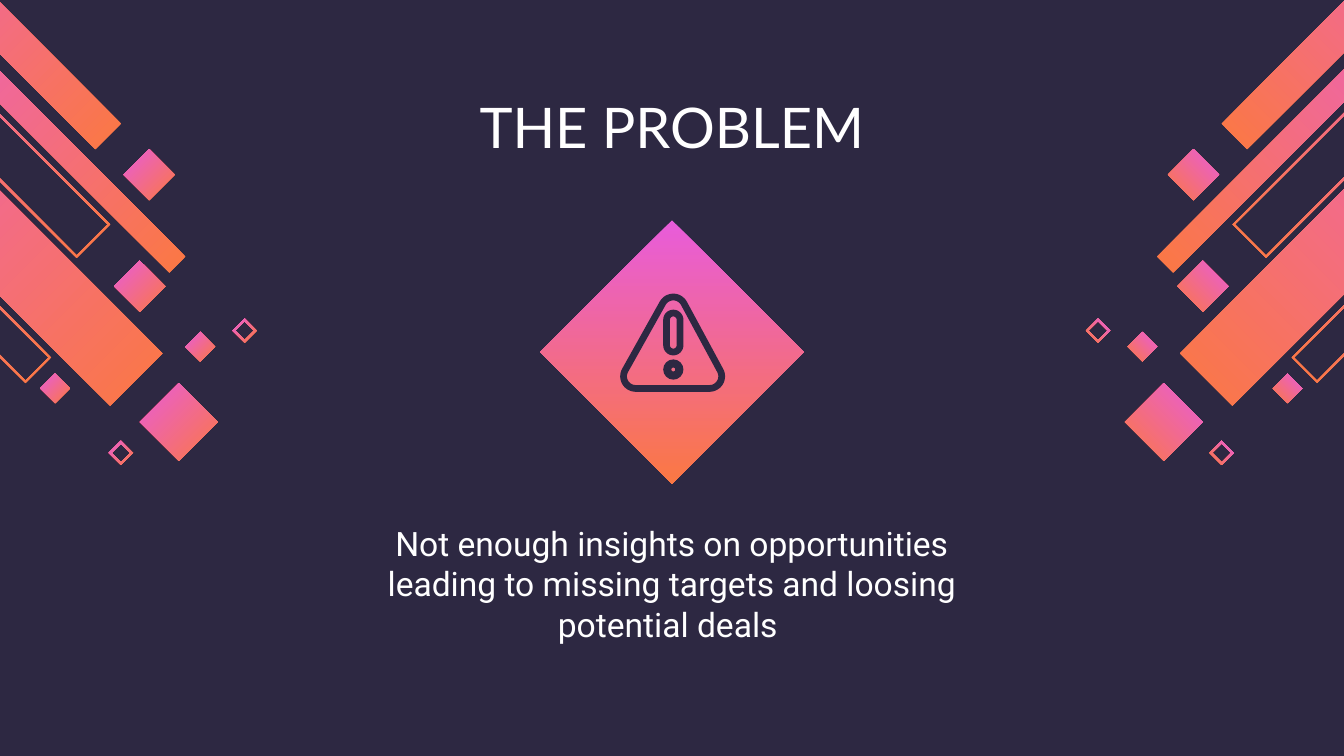
from dataclasses import dataclass
from math import atan2, cos, sin, tau

from pptx import Presentation
from pptx.dml.color import RGBColor
from pptx.enum.shapes import MSO_SHAPE
from pptx.enum.text import MSO_ANCHOR, PP_ALIGN
from pptx.shapes.autoshape import Shape
from pptx.slide import Slide
from pptx.util import Inches, Pt

DIAMOND = MSO_SHAPE.DIAMOND
CENTER = PP_ALIGN.CENTER
TOP, BOTTOM = MSO_ANCHOR.TOP, MSO_ANCHOR.BOTTOM

NIGHT = RGBColor(0x2D, 0x28, 0x42)
ORANGE = RGBColor(0xFB, 0x78, 0x43)
PINK = RGBColor(0xE8, 0x5C, 0xDB)
WHITE = RGBColor(0xFF, 0xFF, 0xFF)

PAGE_WIDTH = Inches(10)
PAGE_HEIGHT = PAGE_WIDTH * 9 // 16
MIRROR_SUM = 9.99  # left x + right x of mirrored points
OUTLINE = 0.02
ARC_STEPS = 16

Point = tuple[float, float]


@dataclass(frozen=True)
class Bar:
    """A bar at 45 degrees, rising to the right from its lowest corner."""
    x: float
    y: float
    length: float
    width: float
    hollow: bool = False

    def corners(self, inset: float = 0) -> list[Point]:
        x, y = self.x, self.y - inset
        length, width = self.length - inset, self.width - inset
        return [(x, y), (x + length, y - length),
                (x + length - width, y - length - width), (x - width, y - width)]

    def contours(self) -> list[list[Point]]:
        insets = (0, OUTLINE) if self.hollow else (0,)
        return [self.corners(inset) for inset in insets]


@dataclass(frozen=True)
class Ring:
    """A band between two rounded outlines around the same clockwise centres."""
    centres: list[Point]
    outer: float
    inner: float


def square(x: float, y: float, half: float, hollow: bool = False) -> Bar:
    return Bar(x, y, half, half, hollow)


RIGHT_BARS = [
    Bar(9.17, 3.02, 2.62, 0.39),
    Bar(9.42, 1.92, 1.95, 0.25, hollow=True),
    Bar(9.28, 1.11, 2.08, 0.19),
    Bar(8.73, 2.03, 2.34, 0.12),
    Bar(9.8, 2.85, 2.23, 0.19, hollow=True),
    square(9.58, 3, 0.11),
    square(8.88, 1.49, 0.19),
    square(9.09, 3.46, 0.09, hollow=True),
    square(8.17, 2.55, 0.09, hollow=True),
    square(8.66, 3.43, 0.29),
    square(8.95, 2.32, 0.19),
    square(8.5, 2.69, 0.11),
]

WARNING_SIGN = [
    Ring([(5.01, 2.3), (5.28, 2.8), (4.73, 2.8)], 0.11, 0.07),
    Ring([(5.01, 2.75)], 0.07, 0.02),
    Ring([(5.01, 2.38), (5.01, 2.57)], 0.07, 0.03),
]


def rounded_outline(centres: list[Point], radius: float) -> list[Point]:
    """Join arcs around the centres with straight tangents."""
    following = centres[1:] + centres[:1]
    normals = [atan2(x1 - x2, y2 - y1)
               for (x1, y1), (x2, y2) in zip(centres, following)]
    points = []
    for index, (x, y) in enumerate(centres):
        start = normals[index - 1]
        sweep = (normals[index] - start) % tau or tau
        for step in range(ARC_STEPS + 1):
            angle = start + sweep * step / ARC_STEPS
            points.append((x + radius * cos(angle), y + radius * sin(angle)))
    return points


def add_outline(page: Slide, contours: list[list[Point]]) -> Shape:
    scaled = [[(Inches(x), Inches(y)) for x, y in contour] for contour in contours]
    builder = page.shapes.build_freeform(*scaled[0][0], scale=1.0)
    builder.add_line_segments(scaled[0][1:], close=True)
    for contour in scaled[1:]:
        builder.move_to(*contour[0])
        builder.add_line_segments(contour[1:], close=True)
    shape = builder.convert_to_shape()
    shape.shadow.inherit = False
    return shape


def fill_gradient(shape: Shape, first: RGBColor, last: RGBColor, angle: float) -> None:
    shape.fill.gradient()
    shape.fill.gradient_angle = angle
    for stop, color in zip(shape.fill.gradient_stops, (first, last)):
        stop.color.rgb = color
    shape.line.fill.background()


def add_bar(page: Slide, bar: Bar, mirrored: bool) -> None:
    contours = bar.contours()
    if mirrored:
        contours = [[(MIRROR_SUM - x, y) for x, y in contour] for contour in contours]
    fill_gradient(add_outline(page, contours), ORANGE, PINK, 135 if mirrored else 45)


def add_ring(page: Slide, ring: Ring) -> None:
    shape = add_outline(page, [rounded_outline(ring.centres, radius)
                               for radius in (ring.outer, ring.inner)])
    shape.fill.solid()
    shape.fill.fore_color.rgb = NIGHT
    shape.line.color.rgb = NIGHT
    shape.line.width = Pt(0.75)


def add_text(page: Slide, text: str, *, left: float, top: float, width: float,
             height: float, font: str, size: float, anchor: MSO_ANCHOR) -> None:
    box = page.shapes.add_textbox(Inches(left), Inches(top), Inches(width), Inches(height))
    frame = box.text_frame
    frame.word_wrap = True
    frame.vertical_anchor = anchor
    frame.margin_left = frame.margin_right = Inches(0.1)
    frame.margin_top = frame.margin_bottom = Inches(0.1)
    para = frame.paragraphs[0]
    para.alignment = CENTER
    span = para.add_run()
    span.text = text
    span.font.name = font
    span.font.size = Pt(size)
    span.font.color.rgb = WHITE


def main() -> None:
    deck = Presentation()
    deck.slide_width, deck.slide_height = PAGE_WIDTH, PAGE_HEIGHT
    page = deck.slides.add_slide(deck.slide_layouts[6])
    page.background.fill.solid()
    page.background.fill.fore_color.rgb = NIGHT

    for mirrored in (False, True):
        for bar in RIGHT_BARS:
            add_bar(page, bar, mirrored)

    diamond = page.shapes.add_shape(
        DIAMOND, Inches(4.02), Inches(1.64), Inches(1.96), Inches(1.96))
    diamond.shadow.inherit = False
    fill_gradient(diamond, PINK, ORANGE, 270)

    add_text(page, "THE PROBLEM", left=2.38, top=0.46, width=5.24, height=0.83,
             font="Lato", size=30, anchor=BOTTOM)
    add_text(page, "Not enough insights on opportunities leading to missing targets "
             "and loosing potential deals ", left=2.42, top=3.79, width=5.16,
             height=1.08, font="Roboto", size=18, anchor=TOP)
    for ring in WARNING_SIGN:
        add_ring(page, ring)

    deck.save("out.pptx")


if __name__ == "__main__":
    main()
